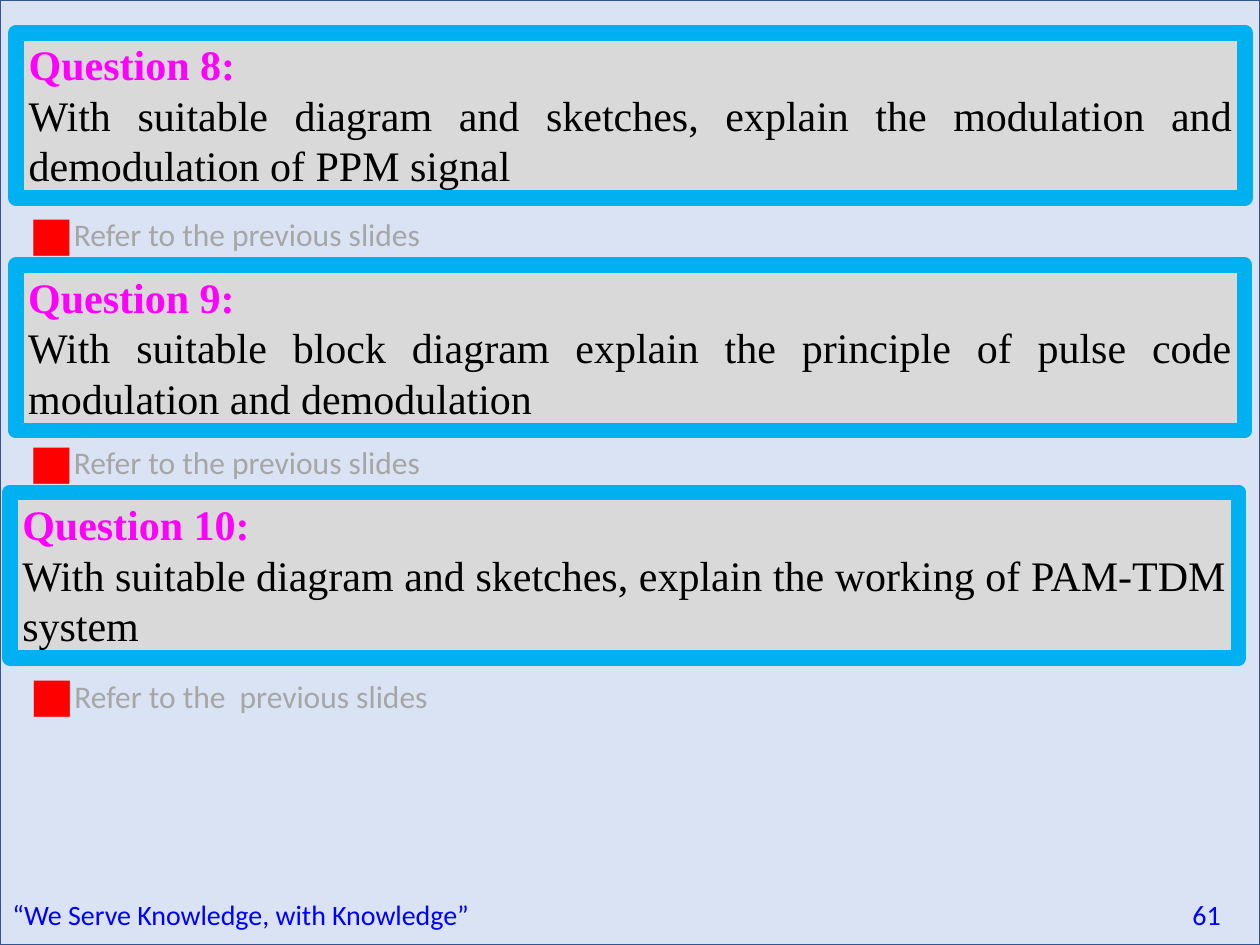
from lxml import etree
from pptx import Presentation
from pptx.dml.color import RGBColor
from pptx.enum.shapes import MSO_SHAPE
from pptx.enum.text import MSO_ANCHOR, MSO_AUTO_SIZE, PP_ALIGN
from pptx.oxml.ns import qn
from pptx.util import Cm, Pt

RECTANGLE = MSO_SHAPE.RECTANGLE
TOP = MSO_ANCHOR.TOP
GROW = MSO_AUTO_SIZE.SHAPE_TO_FIT_TEXT
JUSTIFY = PP_ALIGN.JUSTIFY
LEFT = PP_ALIGN.LEFT

COLOURS = {
    "page": "DAE3F3",
    "edge": "325491",
    "panel": "D9D9D9",
    "border": "00B0F0",
    "heading": "FF00FF",
    "question": "000000",
    "answer": "A6A6A6",
    "bullet": "FF0000",
    "footer": "0000FF",
}
SERIF = "Times New Roman"
SANS = "Calibri"
PAGE_WIDTH, PAGE_HEIGHT = 25.4, 19.05

QUESTIONS = [
    (0.33, 0.66, "Question 8:",
     "With suitable diagram and sketches, explain the modulation and demodulation of PPM signal"),
    (0.32, 5.35, "Question 9:",
     "With suitable block diagram explain the principle of pulse code modulation and demodulation"),
    (0.2, 9.93, "Question 10:",
     "With suitable diagram and sketches, explain the working of PAM-TDM system"),
]
ANSWERS = [
    (0.34, 4.22, "Refer to the previous slides"),
    (0.34, 8.81, "Refer to the previous slides"),
    (0.35, 13.52, "Refer to the  previous slides"),
]


class QuestionSlide:
    def __init__(self, slide):
        self.slide = slide

    def colour(self, name):
        return RGBColor.from_string(COLOURS[name])

    def rectangle(self, left, top, width, height, fill, line, weight):
        box = self.slide.shapes.add_shape(
            RECTANGLE, Cm(left), Cm(top), Cm(width), Cm(height))
        box.shadow.inherit = False
        box.fill.solid()
        box.fill.fore_color.rgb = self.colour(fill)
        box.line.color.rgb = self.colour(line)
        box.line.width = Pt(weight)
        return box

    def text_box(self, left, top, width, height):
        box = self.slide.shapes.add_textbox(Cm(left), Cm(top), Cm(width), Cm(height))
        self.frame(box)
        return box.text_frame.paragraphs[0]

    def frame(self, box):
        box.text_frame.word_wrap = True
        box.text_frame.auto_size = GROW
        box.text_frame.vertical_anchor = TOP

    def span(self, para, text, font, size, colour, bold=False):
        span = para.add_run()
        span.text = text
        span.font.name = font
        span.font.size = Pt(size)
        span.font.bold = bold
        span.font.color.rgb = self.colour(colour)

    def question(self, left, top, heading, wording):
        box = self.rectangle(left, top, 24.77, 3.33, "panel", "border", 9)
        self.frame(box)
        first = box.text_frame.paragraphs[0]
        second = box.text_frame.add_paragraph()
        first.alignment = second.alignment = JUSTIFY
        self.span(first, heading, SERIF, 24, "heading", True)
        self.span(second, wording, SERIF, 24, "question")

    def answer(self, left, top, wording):
        para = self.text_box(left, top, 24.66, 1.02)
        para.alignment = LEFT
        properties = para._p.get_or_add_pPr()
        properties.set("marL", str(Cm(0.79)))
        properties.set("indent", str(-Cm(0.79)))
        bullet_colour = etree.SubElement(properties, qn("a:buClr"))
        etree.SubElement(bullet_colour, qn("a:srgbClr"), val=COLOURS["bullet"])
        etree.SubElement(properties, qn("a:buSzPct"), val="150000")
        etree.SubElement(properties, qn("a:buFont"), typeface=SANS)
        etree.SubElement(properties, qn("a:buChar"), char="■")
        self.span(para, wording, SANS, 18, "answer")

    def footer(self, motto, number):
        para = self.text_box(0, 17.96, PAGE_WIDTH, 0.94)
        tabs = etree.SubElement(para._p.get_or_add_pPr(), qn("a:tabLst"))
        etree.SubElement(tabs, qn("a:tab"), pos=str(Cm(24.36)), algn="r")
        for text in (motto, "\t", number):
            self.span(para, text, SANS, 16, "footer")


def main():
    deck = Presentation()
    deck.slide_width = Cm(PAGE_WIDTH)
    deck.slide_height = Cm(PAGE_HEIGHT)
    page = QuestionSlide(deck.slides.add_slide(deck.slide_layouts[6]))
    page.rectangle(0, 0, PAGE_WIDTH, PAGE_HEIGHT, "page", "edge", 0)
    page.footer("“We Serve Knowledge, with Knowledge”", "61")
    for question in QUESTIONS:
        page.question(*question)
    for answer in ANSWERS:
        page.answer(*answer)
    deck.save("out.pptx")


if __name__ == "__main__":
    main()
